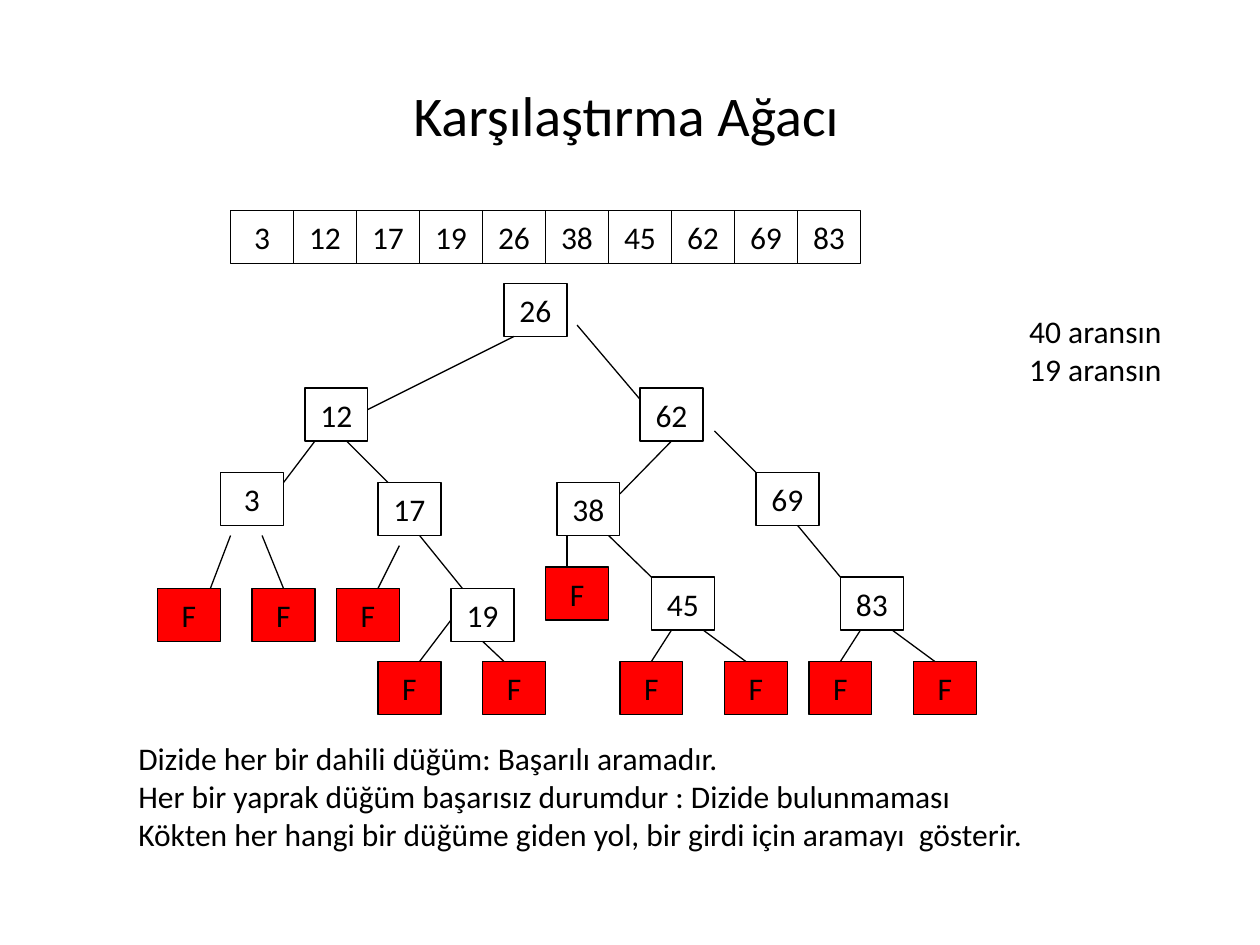
from lxml.etree import SubElement
from pptx import Presentation
from pptx.dml.color import RGBColor
from pptx.enum.shapes import MSO_CONNECTOR, MSO_SHAPE
from pptx.enum.text import MSO_ANCHOR, MSO_AUTO_SIZE, PP_ALIGN
from pptx.oxml.ns import qn
from pptx.util import Inches, Pt

COLORS = {"ink": "000000", "fail": "FF0000"}
WIDE, HIGH = 0.5, 0.42


class Deck:
    def __init__(self):
        self.prs = Presentation()
        self.prs.slide_width, self.prs.slide_height = Inches(10), Inches(7.5)
        self.slide = self.prs.slides.add_slide(self.prs.slide_layouts[6])
        self.font, self.size, self.width = "Calibri", 18, 0.75
        self.sides = []

    def color(self, name):
        return RGBColor.from_string(COLORS[name])

    def label(self, frame, lines, size, align):
        frame.text = "\n".join(lines)
        for par in frame.paragraphs:
            par.alignment = align
            par.font.name, par.font.size = self.font, Pt(size)
            par.font.color.rgb = self.color("ink")

    def text(self, place, lines, size=None, align=PP_ALIGN.LEFT, wrap=True, grow=True):
        frame = self.slide.shapes.add_textbox(*map(Inches, place)).text_frame
        frame.word_wrap = wrap
        frame.auto_size = MSO_AUTO_SIZE.SHAPE_TO_FIT_TEXT if grow else MSO_AUTO_SIZE.NONE
        self.label(frame, lines, size or self.size, align)

    def box(self, key, x, y, fill=None):
        box = self.slide.shapes.add_shape(
            MSO_SHAPE.RECTANGLE, *map(Inches, (x, y, WIDE, HIGH)))
        box.shadow.inherit = False
        if fill:
            box.fill.solid()
            box.fill.fore_color.rgb = self.color(fill)
        else:
            box.fill.background()
        box.line.color.rgb, box.line.width = self.color("ink"), Pt(self.width)
        frame = box.text_frame
        frame.word_wrap, frame.vertical_anchor = False, MSO_ANCHOR.MIDDLE
        self.label(frame, [str(key)], self.size, PP_ALIGN.CENTER)
        # Middles of the sides: top, left, bottom, right
        mids = [(x + WIDE / 2, y), (x, y + HIGH / 2),
                (x + WIDE / 2, y + HIGH), (x + WIDE, y + HIGH / 2)]
        self.sides += [(mid, box, side) for side, mid in enumerate(mids)]

    def join(self, point, connect):
        for mid, box, side in self.sides:
            if all(abs(a - b) < 0.02 for a, b in zip(mid, point)):
                connect(box, side)

    def line(self, x1, y1, x2, y2):
        line = self.slide.shapes.add_connector(
            MSO_CONNECTOR.STRAIGHT, *map(Inches, (x1, y1, x2, y2)))
        line.line.color.rgb, line.line.width = self.color("ink"), Pt(self.width)
        SubElement(line._element.spPr, qn("a:effectLst"))
        self.join((x1, y1), line.begin_connect)
        self.join((x2, y2), line.end_connect)


def main():
    deck = Deck()

    # Title
    deck.text((0.5, 0.59, 8.94, 0.5), ["Karşılaştırma Ağacı"], 32,
              PP_ALIGN.CENTER, grow=False)

    # Sorted array
    for i, key in enumerate([3, 12, 17, 19, 26, 38, 45, 62, 69, 83]):
        deck.box(key, 1.83 + i * WIDE, 1.67)

    # Inner nodes of the tree
    nodes = {3: (1.75, 3.75), 12: (2.42, 3.08), 17: (3, 3.83), 19: (3.58, 4.67),
             26: (4, 2.25), 38: (4.42, 3.83), 45: (5.17, 4.58), 62: (5.08, 3.08),
             69: (6, 3.75), 83: (6.67, 4.58)}
    for key, (x, y) in nodes.items():
        deck.box(key, x, y)

    # Failure leaves, row by row
    leaves = {4.5: [4.33], 4.67: [1.25, 2, 2.67],
              5.25: [3, 3.83, 4.92, 5.75, 6.42, 7.25]}
    for y, row in leaves.items():
        for x in row:
            deck.box("F", x, y, "fail")

    # Branches between inner nodes
    inner = [(4.08, 2.67, 2.92, 3.25), (2.5, 3.5, 2.25, 3.83),
             (2.75, 3.5, 3.08, 3.83), (4.58, 2.58, 5.08, 3.17),
             (3.33, 4.25, 3.67, 4.67), (5.33, 3.5, 4.92, 3.92),
             (4.83, 4.25, 5.17, 4.58), (5.67, 3.42, 6, 3.75),
             (6.33, 4.17, 6.67, 4.58)]
    # Branches down to the leaves
    outer = [(1.83, 4.25, 1.67, 4.67), (2.08, 4.25, 2.25, 4.67),
             (3.17, 4.33, 3, 4.67), (4.5, 4.25, 4.5, 4.5),
             (3.58, 4.92, 3.33, 5.25), (3.83, 5.08, 4, 5.25)]
    for x in (5.17, 6.67):
        outer += [(x + 0.16, 5, x, 5.25), (x + 0.41, 5, x + 0.75, 5.25)]
    for ends in inner + outer:
        deck.line(*ends)

    # Searches and notes
    deck.text((8.07, 2.43, 1.25, 0.7), ["40 aransın", "19 aransın"], wrap=False)
    deck.text((1, 5.82, 8.17, 1), [
        "Dizide her bir dahili düğüm: Başarılı aramadır.",
        "Her bir yaprak düğüm başarısız durumdur : Dizide bulunmaması",
        "Kökten her hangi bir düğüme giden yol, bir girdi için aramayı  gösterir."])

    deck.prs.save("out.pptx")


if __name__ == "__main__":
    main()
